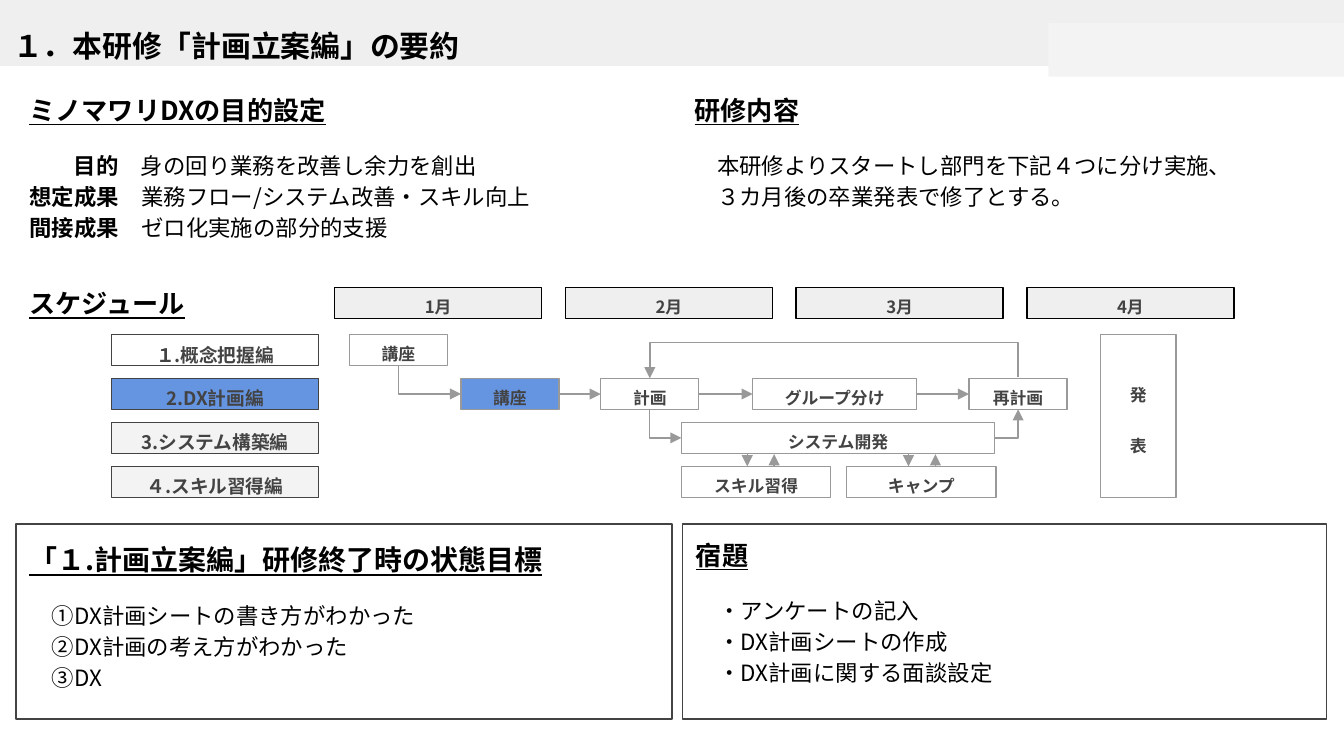
from lxml.etree import SubElement
from pptx import Presentation
from pptx.dml.color import RGBColor
from pptx.enum.shapes import MSO_CONNECTOR as Link, MSO_SHAPE as Shape
from pptx.enum.text import MSO_ANCHOR as Anchor, PP_ALIGN as Align
from pptx.oxml.ns import qn
from pptx.util import Inches, Pt

FONT = "Noto Sans CJK JP"
COLORS = {"black": "000000", "dark": "434343", "gray": "999999", "band": "EFEFEF",
          "pale": "F3F3F3", "blue": "6594E1"}
TOP, LEFT, BOTTOM, RIGHT = range(4)  # connection sites of a rectangle


def write(box, text, size=12, bold=False, underline=False, color="black", align=Align.LEFT,
          anchor=Anchor.TOP, spacing=1.15, before=0, after=0, indent=0, label=""):
    """Add one paragraph to box, led by an optional bold label."""
    frame = box.text_frame
    frame.word_wrap = True
    frame.vertical_anchor = anchor
    frame.margin_left = frame.margin_right = Inches(0.1)
    frame.margin_top = frame.margin_bottom = Inches(0.1)
    para = frame.paragraphs[0]
    if para.runs:
        para = frame.add_paragraph()
    para.alignment = align
    para.line_spacing = spacing
    para.space_before, para.space_after = Pt(before), Pt(after)
    para._p.get_or_add_pPr().set("marL", str(Inches(indent)))
    for words, weight in ((label, True), (text, bold)):
        if words:
            span = para.add_run()
            span.text = words
            span.font.size, span.font.bold, span.font.underline = Pt(size), weight, underline
            span.font.color.rgb = RGBColor.from_string(COLORS[color])
            span.font.name = FONT
            SubElement(span._r.get_or_add_rPr(), qn("a:ea"), typeface=FONT)


def add_arrow(kind, ends=(0, 0, 0, 0), glue=None, tip="tailEnd"):
    """Draw a gray arrow between points, or glued to (box, site, box, site)."""
    arrow = page.shapes.add_connector(kind, *[Inches(value) for value in ends])
    if glue:
        arrow.begin_connect(boxes[glue[0]], glue[1])
        arrow.end_connect(boxes[glue[2]], glue[3])
    arrow.line.color.rgb = RGBColor.from_string(COLORS["gray"])
    arrow.line.width = Pt(0.75)
    SubElement(arrow.line._get_or_add_ln(), qn("a:" + tip), type="triangle")
    SubElement(arrow._element.spPr, qn("a:effectLst"))
    return arrow


deck = Presentation()
deck.slide_width, deck.slide_height = Inches(10), Inches(10 * 9 / 16)
page = deck.slides.add_slide(deck.slide_layouts[6])

# Schedule grid
ROWS = [2.49 + 0.327 * row for row in range(4)]
LABEL_W, BOX_W, BOX_H = 1.54, 0.73, 0.23

# Rectangles: name, left, top, width, height, fill, line
rectangles = [
    ("title", 0, 0, 10, 0.49, "band", None),
    ("corner", 7.8, 0.17, 2.2, 0.4, "pale", None),
    ("goal", 0.12, 3.9, 4.88, 1.45, None, "dark"),
    ("homework", 5.08, 3.9, 4.79, 1.45, None, "dark"),
    ("intro", 2.6, ROWS[0], BOX_W, BOX_H, None, "gray"),
    ("lecture", 3.43, ROWS[1], BOX_W, BOX_H, "blue", "gray"),
    ("plan", 4.47, ROWS[1], BOX_W, BOX_H, None, "gray"),
    ("grouping", 5.6, ROWS[1], 1.22, BOX_H, None, "gray"),
    ("replan", 7.21, ROWS[1], BOX_W, BOX_H, None, "gray"),
    ("develop", 5.07, ROWS[2], 2.33, BOX_H, None, "gray"),
    ("skill", 5.07, ROWS[3], 1.11, BOX_H, None, "gray"),
    ("camp", 6.3, ROWS[3], 1.11, BOX_H, None, "gray"),
    ("present", 8.19, ROWS[0], 0.56, 1.21, None, "gray"),
]
for row, fill in enumerate((None, "blue", "pale", "pale")):
    rectangles.append((f"course{row}", 0.83, ROWS[row], LABEL_W, BOX_H, fill, "dark"))
for month in range(4):
    rectangles.append((f"month{month}", 2.49 + 1.717 * month, 2.14, LABEL_W, BOX_H,
                       "band", "black"))

boxes = {}
for name, left, top, width, height, fill, line in rectangles:
    box = page.shapes.add_shape(Shape.RECTANGLE, Inches(left), Inches(top),
                                Inches(width), Inches(height))
    box.shadow.inherit = False
    if fill:
        box.fill.solid()
        box.fill.fore_color.rgb = RGBColor.from_string(COLORS[fill])
    else:
        box.fill.background()
    if line:
        box.line.color.rgb = RGBColor.from_string(COLORS[line])
        box.line.width = Pt(0.75)
    else:
        box.line.fill.background()
    boxes[name] = box

# Plain text areas
for name, left, top, width, height in (("purpose", 0.12, 0.59, 4.88, 1.32),
                                       ("content", 5.07, 0.59, 4.79, 1.32),
                                       ("schedule", 0.12, 2.03, 9.75, 1.77)):
    boxes[name] = page.shapes.add_textbox(Inches(left), Inches(top),
                                          Inches(width), Inches(height))

# Title and section headings
write(boxes["title"], "１．本研修「計画立案編」の要約", size=16, bold=True, spacing=1.4, after=12)
for name, heading, size, spacing in (
        ("purpose", "ミノマワリDXの目的設定", 14, 1.05),
        ("content", "研修内容", 14, 1.05),
        ("schedule", "スケジュール", 14, 1.05),
        ("goal", "「１.計画立案編」研修終了時の状態目標", 15, 1.15),
        ("homework", "宿題", 14, 1.05)):
    write(boxes[name], heading, size=size, bold=True, underline=True, spacing=spacing)

# Section bodies
for row, (label, text, indent) in enumerate((
        ("目的", "　身の回り業務を改善し余力を創出", 0.33),
        ("想定成果　", "業務フロー/システム改善・スキル向上", 0),
        ("間接成果　", "ゼロ化実施の部分的支援", 0))):
    write(boxes["purpose"], text, label=label, indent=indent, before=0 if row else 12)
for name, lines in {
        "content": ("　本研修よりスタートし部門を下記４つに分け実施、",
                    "　３カ月後の卒業発表で修了とする。"),
        "goal": ("　①DX計画シートの書き方がわかった", "　②DX計画の考え方がわかった", "　③DX"),
        "homework": ("　・アンケートの記入", "　・DX計画シートの作成",
                     "　・DX計画に関する面談設定")}.items():
    for row, text in enumerate(lines):
        write(boxes[name], text, before=0 if row else 12)

# Schedule captions
captions = {"intro": "講座", "lecture": "講座", "plan": "計画", "grouping": "グループ分け",
            "replan": "再計画", "develop": "システム開発", "skill": "スキル習得", "camp": "キャンプ",
            "course0": "１.概念把握編", "course1": "2.DX計画編",
            "course2": "3.システム構築編", "course3": "４.スキル習得編"}
captions.update({f"month{month}": f"{month + 1}月" for month in range(4)})
caption_style = dict(bold=True, color="dark", align=Align.CENTER, anchor=Anchor.MIDDLE,
                     spacing=1.4)
for name, text in captions.items():
    write(boxes[name], text, size=10 if name.startswith("course") else 9, after=12,
          **caption_style)
write(boxes["present"], "発", size=9, **caption_style)
write(boxes["present"], "表", size=9, before=12, after=12, **caption_style)

# Straight arrows along the planning row
for start, end in (("lecture", "plan"), ("plan", "grouping"), ("grouping", "replan")):
    add_arrow(Link.STRAIGHT, glue=(start, RIGHT, end, LEFT))

# Short arrows to and from the supporting courses
for x in (5.56, 6.76):
    add_arrow(Link.STRAIGHT, ends=(x, 3.38, x, 3.47))
    add_arrow(Link.STRAIGHT, ends=(x + 0.2, 3.38, x + 0.2, 3.47), tip="headEnd")

# Single-corner arrows, each leaving its first box sideways
for glue, tip in ((("lecture", LEFT, "intro", BOTTOM), "headEnd"),
                  (("develop", LEFT, "plan", BOTTOM), "headEnd"),
                  (("develop", RIGHT, "replan", BOTTOM), "tailEnd")):
    corner = add_arrow(Link.ELBOW, glue=glue, tip=tip)
    corner._element.spPr.find(qn("a:prstGeom")).set("prst", "bentConnector2")

# Loop back from the second plan, rising 0.26 inches above the row
loop = add_arrow(Link.ELBOW, glue=("replan", TOP, "plan", TOP))
turn = loop._element.spPr.find(qn("a:xfrm"))
turn.set("rot", str(90 * 60000))
turn.set("flipH", "0")
turn.set("flipV", "0")
loop.left, loop.top = Inches(6.2), Inches(1.44)
loop.width, loop.height = Inches(0.01), Inches(2.74)
guides = loop._element.spPr.find(qn("a:prstGeom")).get_or_add_avLst()
SubElement(guides, qn("a:gd"), name="adj1", fmla="val -2600000")

deck.save("out.pptx")
